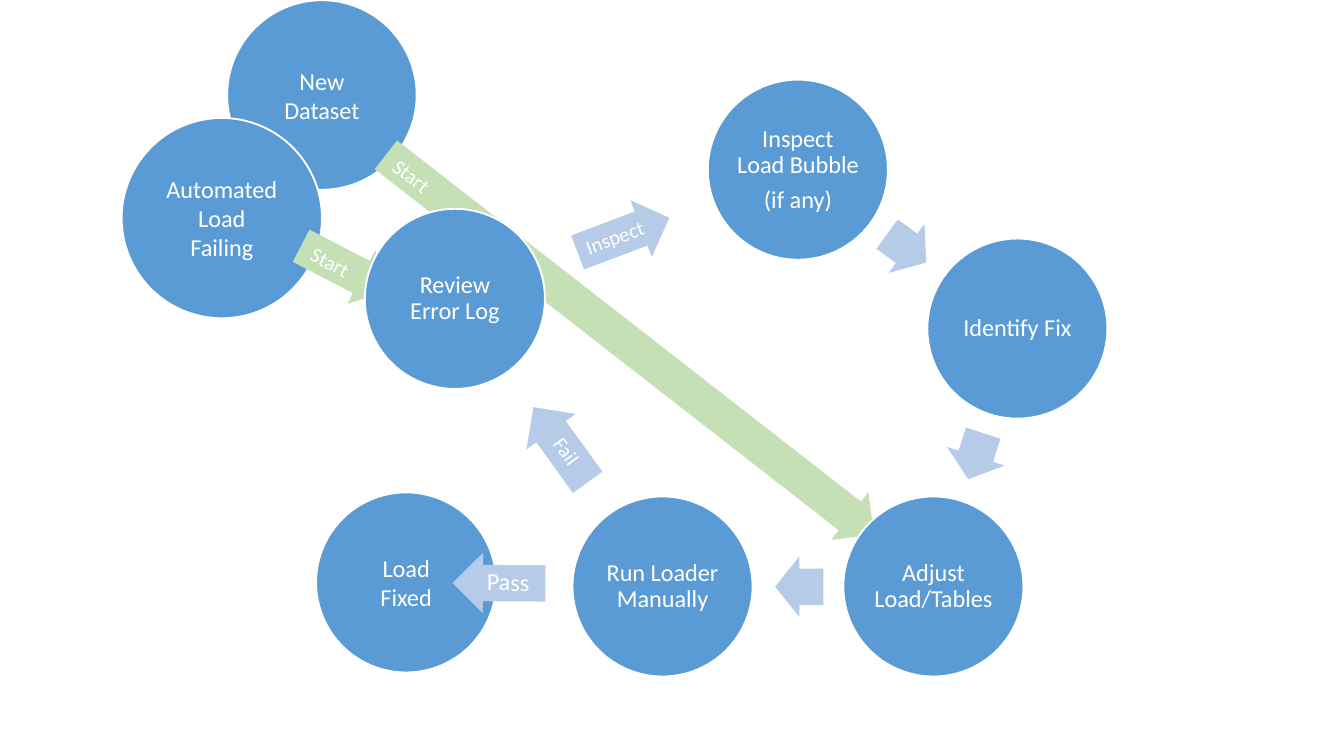
from dataclasses import dataclass
from math import cos, radians, sin

from pptx import Presentation
from pptx.dml.color import RGBColor
from pptx.enum.shapes import MSO_SHAPE as Preset
from pptx.enum.text import MSO_ANCHOR as Anchor, PP_ALIGN as Align
from pptx.util import Inches, Pt

WHITE = RGBColor(0xFF, 0xFF, 0xFF)
BLUE = RGBColor(0x5B, 0x9B, 0xD5)
PALE_BLUE = RGBColor(0xB5, 0xCB, 0xE7)
PALE_GREEN = RGBColor(0xC5, 0xE0, 0xB4)

CELL = Inches(0.1)  # the slide is a grid of 100 columns by 56.25 rows
COLUMNS, ROWS = 100, 56.25
STEP_SIZE = 13.4
ARROW_HEIGHT = 4.5
LABEL_HEIGHT = 2.7


@dataclass(frozen=True)
class Circle:
    """A process state, placed by its centre; cycle steps have tighter text."""
    column: float
    row: float
    lines: tuple[str, ...]
    size: float = STEP_SIZE
    tight: bool = True


@dataclass(frozen=True)
class Arrow:
    """A block arrow, placed by its centre and turned clockwise."""
    column: float
    row: float
    length: float
    turn: float
    label: str = ""
    label_size: int = 11
    color: RGBColor = PALE_BLUE


# Listed from back to front.
FLOW: list[Circle | Arrow] = [
    Circle(30.22, 43.34, ("Load Fixed",), tight=False),
    Arrow(37.13, 43.39, 6.9, 180.3, "Pass", 13),
    Circle(23.95, 7.07, ("New Dataset",), 14.1, tight=False),
    Circle(16.5, 16.23, ("Automated Load Failing",), 14.9, tight=False),
    Arrow(25.65, 19.97, 7.3, 27.4, "Start", color=PALE_GREEN),
    Arrow(46.87, 25.65, 46, 37.9, "Start", color=PALE_GREEN),
    Circle(59.37, 12.63, ("Inspect Load Bubble", "(if any)")),
    Arrow(67.46, 18.48, 3.6, 36),
    Circle(75.7, 24.45, ("Identify Fix",)),
    Arrow(72.6, 33.95, 3.6, 108),
    Circle(69.45, 43.64, ("Adjust Load/Tables",)),
    Arrow(59.47, 43.65, 3.6, 180),
    Circle(49.3, 43.64, ("Run Loader Manually",)),
    Arrow(41.71, 33.09, 6.9, 234.2, "Fail"),
    Circle(33.85, 22.24, ("Review Error Log",)),
    Arrow(46.4, 17.5, 7.3, 339.3, "Inspect"),
]


def centred(column: float, row: float, width: float, height: float) -> tuple[int, ...]:
    """Left, top, width and height of a box about a centre on the grid."""
    cells = (column - width / 2, row - height / 2, width, height)
    return tuple(round(value * CELL) for value in cells)


def write(frame, lines: tuple[str, ...], size: int, inset: float | None = None,
          align=Align.CENTER, anchor=Anchor.MIDDLE) -> None:
    """Fill a text frame; a given inset also brings tight line spacing."""
    frame.word_wrap = True
    frame.vertical_anchor = anchor
    if inset is not None:
        frame.margin_left = frame.margin_right = Inches(inset)
        frame.margin_top = frame.margin_bottom = Inches(inset)
    for index, line in enumerate(lines):
        para = frame.add_paragraph() if index else frame.paragraphs[0]
        para.alignment = align
        if inset is not None:
            para.line_spacing = 0.9
            para.space_after = Pt(0.35 * size)
        span = para.add_run()
        span.text = line
        span.font.name = "Calibri"
        span.font.size = Pt(size)
        span.font.color.rgb = WHITE


def draw_circle(page, circle: Circle) -> None:
    place = centred(circle.column, circle.row, circle.size, circle.size)
    shape = page.shapes.add_shape(Preset.OVAL, *place)
    shape.shadow.inherit = False
    shape.fill.solid()
    shape.fill.fore_color.rgb = BLUE
    shape.line.color.rgb = WHITE
    shape.line.width = Pt(1)
    write(shape.text_frame, circle.lines, 13, 0.02 if circle.tight else None)


def draw_label(page, arrow: Arrow) -> None:
    """Set a label along the shaft from the arrow's tail, never upside down."""
    head_room = 0.3 * ARROW_HEIGHT
    angle = radians(arrow.turn)
    column = arrow.column - head_room / 2 * cos(angle)
    row = arrow.row - head_room / 2 * sin(angle)
    box = page.shapes.add_textbox(
        *centred(column, row, arrow.length - head_room, LABEL_HEIGHT))
    box.rotation = arrow.turn - 180 if 90 < arrow.turn < 270 else arrow.turn
    write(box.text_frame, (arrow.label,), arrow.label_size, 0)


def draw_arrow(page, arrow: Arrow) -> None:
    place = centred(arrow.column, arrow.row, arrow.length, ARROW_HEIGHT)
    shape = page.shapes.add_shape(Preset.RIGHT_ARROW, *place)
    shape.shadow.inherit = False
    shape.adjustments[0] = 0.6
    shape.adjustments[1] = 0.5
    shape.rotation = arrow.turn
    shape.fill.solid()
    shape.fill.fore_color.rgb = arrow.color
    shape.line.fill.background()
    if arrow.color == PALE_GREEN:
        write(shape.text_frame, (arrow.label,), arrow.label_size,
              align=Align.LEFT, anchor=Anchor.TOP)
    elif arrow.label:
        draw_label(page, arrow)


def main() -> None:
    deck = Presentation()
    deck.slide_width = round(COLUMNS * CELL)
    deck.slide_height = round(ROWS * CELL)
    page = deck.slides.add_slide(deck.slide_layouts[6])
    for item in FLOW:
        if isinstance(item, Circle):
            draw_circle(page, item)
        else:
            draw_arrow(page, item)
    deck.save("out.pptx")


if __name__ == "__main__":
    main()
